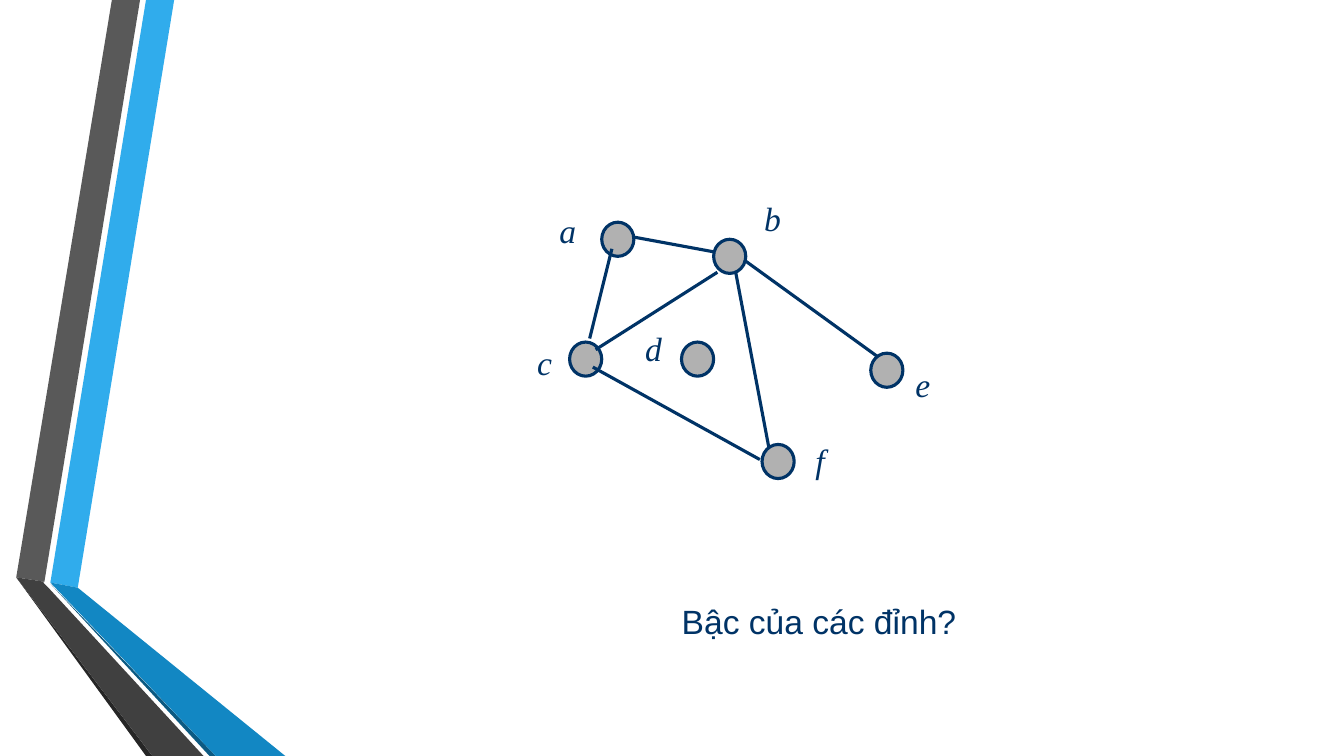
from lxml import etree
from pptx import Presentation
from pptx.dml.color import RGBColor
from pptx.enum.shapes import MSO_CONNECTOR, MSO_SHAPE
from pptx.enum.text import MSO_ANCHOR, PP_ALIGN
from pptx.oxml.ns import qn
from pptx.util import Cm, Pt

NAVY = "003366"
NODE_GREY = "B1B1B1"
NODE_WIDTH, NODE_HEIGHT = 0.81, 0.86
STROKE = Pt(2.25)

# Colour and corner points in cm, from back to front
RIBBONS = [
    ("30ACEC", [(1.27, 14.68), (1.96, 14.81), (4.39, 0), (3.68, 0)]),
    ("595959", [(3.53, 0), (2.82, 0), (0.41, 14.55), (1.12, 14.66)]),
    ("262626", [(0.41, 14.55), (3.68, 19.05), (3.84, 19.05)]),
    ("0C5A82", [(1.27, 14.71), (5.28, 19.05), (5.44, 19.05)]),
    ("1287C3", [(1.27, 14.68), (5.44, 19.05), (7.19, 19.05), (1.96, 14.81)]),
    ("404040", [(5.13, 19.05), (1.22, 14.81), (1.09, 14.68), (1.12, 14.66),
                (0.41, 14.55), (3.84, 19.05)]),
]

# Vertex: centre, then left, top and width of its label
VERTICES = {
    "a": ((15.57, 6.03), (14.07, 5.26, 0.48)),
    "b": ((18.39, 6.46), (19.23, 4.95, 0.51)),
    "c": ((14.76, 9.05), (13.51, 8.59, 0.46)),
    "d": ((17.58, 9.05), (16.23, 8.23, 0.51)),
    "f": ((19.61, 11.63), (20.52, 11.05, 0.3)),
    "e": ((22.35, 9.33), (23.04, 9.14, 0.46)),
}

EDGES = [
    ((14.94, 9.25), (19.15, 11.58)),  # c-f
    ((14.86, 8.53), (15.42, 6.27)),   # c-a
    ((15.95, 5.97), (18.01, 6.35)),   # a-b
    ((18.54, 6.86), (19.38, 11.3)),   # b-f
    ((15.01, 8.81), (18.08, 6.86)),   # c-b
    ((18.75, 6.55), (22.3, 9.12)),    # b-e
]


def colour(hex_code):
    return RGBColor.from_string(hex_code)


def paint(part, hex_code):
    part.shadow.inherit = False
    part.fill.solid()
    part.fill.fore_color.rgb = colour(hex_code)


def add_ribbon(slide, hex_code, corners):
    start, *others = [(Cm(x), Cm(y)) for x, y in corners]
    outline = slide.shapes.build_freeform(*start)
    outline.add_line_segments(others, close=True)
    ribbon = outline.convert_to_shape()
    paint(ribbon, hex_code)
    ribbon.line.fill.background()


def add_vertex(slide, centre):
    x, y = centre
    vertex = slide.shapes.add_shape(
        MSO_SHAPE.OVAL, Cm(x - NODE_WIDTH / 2), Cm(y - NODE_HEIGHT / 2),
        Cm(NODE_WIDTH), Cm(NODE_HEIGHT))
    paint(vertex, NODE_GREY)
    vertex.line.color.rgb = colour(NAVY)
    vertex.line.width = STROKE


def add_edge(slide, start, end):
    edge = slide.shapes.add_connector(
        MSO_CONNECTOR.STRAIGHT, *(Cm(value) for value in start + end))
    edge.line.color.rgb = colour(NAVY)
    edge.line.width = STROKE
    etree.SubElement(edge.element.spPr, qn("a:effectLst"))


def add_text(slide, words, place, font_name, italic=False):
    left, top, width = place
    frame = slide.shapes.add_textbox(
        Cm(left), Cm(top), Cm(width), Cm(1.09)).text_frame
    frame.word_wrap = True
    frame.vertical_anchor = MSO_ANCHOR.TOP
    frame.margin_left = frame.margin_top = Cm(0.03)
    frame.margin_right = frame.margin_bottom = 0
    line = frame.paragraphs[0]
    line.text = words
    line.alignment = PP_ALIGN.LEFT
    line.space_before = Pt(1)
    line.font.name = font_name
    line.font.size = Pt(24)
    line.font.italic = italic
    line.font.color.rgb = colour(NAVY)


def main():
    deck = Presentation()
    deck.slide_width, deck.slide_height = Cm(33.87), Cm(19.05)
    slide = deck.slides.add_slide(deck.slide_layouts[6])

    # Folded ribbons on the left
    for hex_code, corners in RIBBONS:
        add_ribbon(slide, hex_code, corners)

    # Graph: vertex e covers the end of its edge
    *first_centres, last_centre = [centre for centre, _ in VERTICES.values()]
    for centre in first_centres:
        add_vertex(slide, centre)
    for start, end in EDGES:
        add_edge(slide, start, end)
    add_vertex(slide, last_centre)

    # Vertex names and the question
    for name, (_, place) in VERTICES.items():
        add_text(slide, name, place, "Times New Roman", italic=True)
    add_text(slide, "Bậc của các đỉnh?", (17.15, 15.11, 7.2), "Arial")

    deck.save("out.pptx")


if __name__ == "__main__":
    main()
